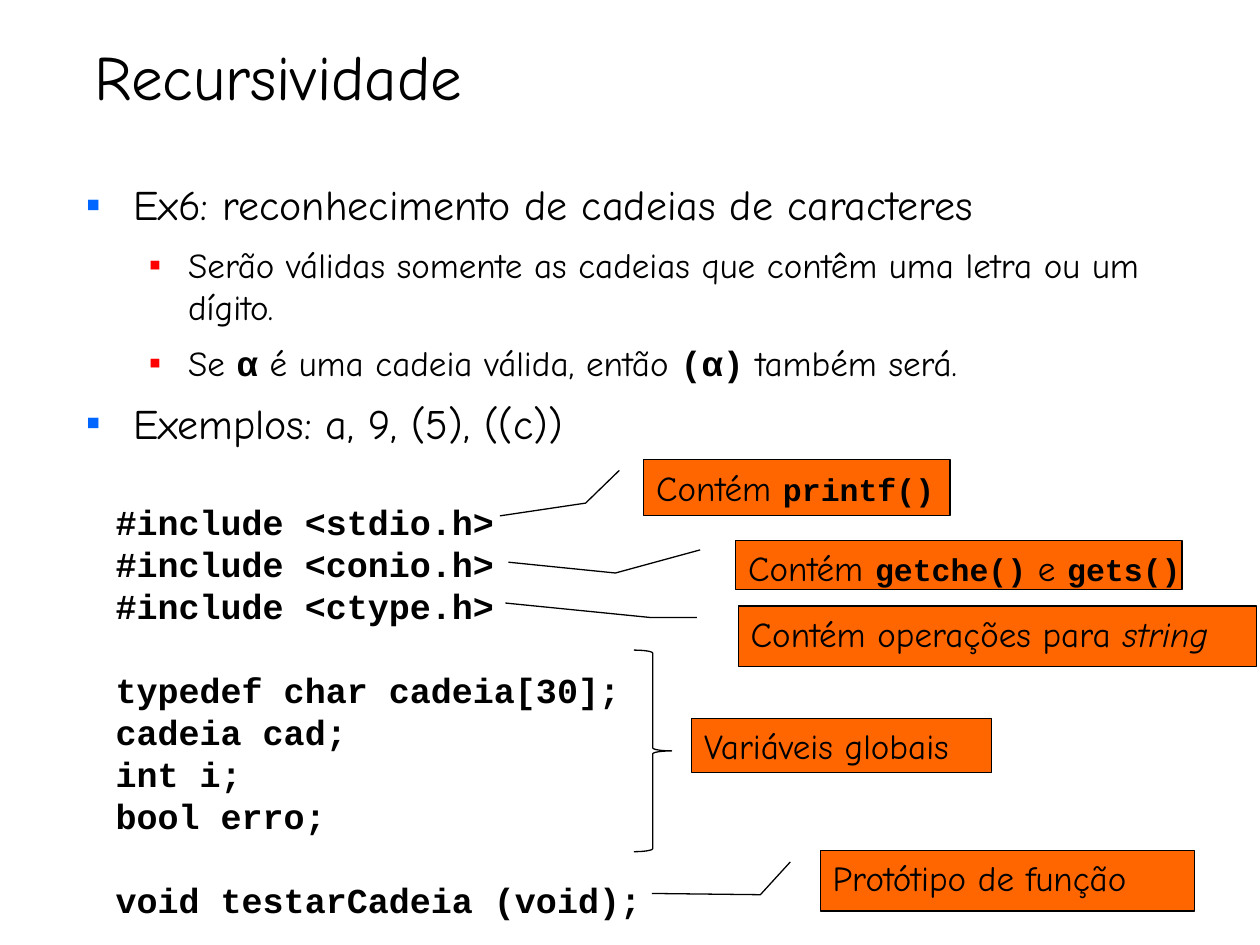
from dataclasses import dataclass

from lxml.etree import SubElement
from pptx import Presentation
from pptx.dml.color import RGBColor
from pptx.enum.shapes import MSO_SHAPE
from pptx.enum.text import MSO_ANCHOR, MSO_AUTO_SIZE, PP_ALIGN
from pptx.oxml.ns import qn
from pptx.util import Pt


@dataclass(frozen=True)
class Theme:
    ink: str = "000000"
    label: str = "FF6600"
    bullets: tuple = ("0066FF", "FF0000")
    text_font: str = "Comic Neue"
    code_font: str = "Courier New"
    title: int = 36
    levels: tuple = (24, 20)
    code: int = 20
    label_text: int = 20
    label_code: int = 18
    leading: float = 1.2


THEME = Theme()
LEVEL_INDENTS = ((27, -27), (58.5, -22.5))

BODY = [
    (0, [("Ex6: reconhecimento de cadeias de caracteres", "text")]),
    (1, [("Serão válidas somente as cadeias que contêm uma letra ou um dígito.", "text")]),
    (1, [("Se ", "text"), ("α", "code"), (" é uma cadeia válida, então ", "text"),
         ("(α)", "code"), (" também será.", "text")]),
    (0, [("Exemplos: a, 9, (5), ((c))", "text")]),
]

CODE_BLOCKS = [
    ["#include <stdio.h>", "#include <conio.h>", "#include <ctype.h>"],
    ["typedef char cadeia[30];", "cadeia cad;", "int i;", "bool erro;"],
    ["void testarCadeia (void);"],
]

CALLOUTS = [
    ((468.7, 486, 213.8, 34.6), (0.73, -0.16, 0.71, -0.45),
     [("Protótipo de função", "text")]),
    ((367.9, 262.8, 175, 31.7), (0.78, -0.19, 1.01, -0.47),
     [("Contém ", "text"), ("printf()", "code")]),
    ((420.5, 308.9, 254.9, 28.1), (0.66, -0.27, 0.44, -0.51),
     [("Contém ", "text"), ("getche()", "code"), (" e ", "text"), ("gets()", "code")]),
    ((421.9, 346.3, 295.9, 34.6), (0.19, -0.17, -0.05, -0.45),
     [("Contém operações para ", "text"), ("string", "italic")]),
]


def rgb(value):
    return RGBColor.from_string(value)


def place(sp, box):
    sp.left, sp.top, sp.width, sp.height = map(Pt, box)


def add_runs(p, runs, size, code_size):
    for text, style in runs:
        r = p.add_run()
        r.text = text
        is_code = style == "code"
        r.font.name = THEME.code_font if is_code else THEME.text_font
        r.font.size = Pt(code_size if is_code else size)
        r.font.bold = is_code
        r.font.italic = style == "italic"
        r.font.color.rgb = rgb(THEME.ink)


def add_bullet(p, level):
    pPr = p._p.get_or_add_pPr()
    left, first = LEVEL_INDENTS[level]
    pPr.set("marL", str(Pt(left)))
    pPr.set("indent", str(Pt(first)))
    color = SubElement(pPr, qn("a:buClr"))
    SubElement(color, qn("a:srgbClr")).set("val", THEME.bullets[level])
    SubElement(pPr, qn("a:buChar")).set("char", "▪")


def fill_title(sp, text):
    place(sp, (46.8, 18, 598.3, 50.4))
    tf = sp.text_frame
    tf.auto_size = MSO_AUTO_SIZE.NONE
    tf.vertical_anchor = MSO_ANCHOR.BOTTOM
    p = tf.paragraphs[0]
    p.alignment = PP_ALIGN.LEFT
    add_runs(p, [(text, "text")], THEME.title, THEME.title)


def fill_body(sp):
    place(sp, (41.8, 98.6, 661, 171.4))
    tf = sp.text_frame
    tf.auto_size = MSO_AUTO_SIZE.NONE
    for i, (level, runs) in enumerate(BODY):
        p = tf.add_paragraph() if i else tf.paragraphs[0]
        p.level = level
        size = THEME.levels[level]
        add_bullet(p, level)
        p.line_spacing = Pt(size * THEME.leading)
        p.space_before = Pt(0)
        p.space_after = Pt(8)
        add_runs(p, runs, size, size)


def add_code(s):
    tf = s.shapes.add_textbox(*map(Pt, (59, 282.2, 378.7, 247.7))).text_frame
    tf.word_wrap = True
    tf.text = "\n".join(line for block in CODE_BLOCKS for line in block)
    leading = Pt(THEME.code * THEME.leading)
    for p in tf.paragraphs:
        p.line_spacing = leading
        font = p.runs[0].font
        font.name, font.size, font.bold = THEME.code_font, Pt(THEME.code), True
        font.color.rgb = rgb(THEME.ink)
    start = 0
    for block in CODE_BLOCKS[:-1]:
        start += len(block)
        tf.paragraphs[start].space_before = leading


def add_shape(s, kind, box):
    sp = s.shapes.add_shape(kind, *map(Pt, box))
    sp.shadow.inherit = False
    sp.line.color.rgb = rgb(THEME.ink)
    sp.line.width = Pt(0.75)
    return sp


def add_label(s, kind, box, runs):
    sp = add_shape(s, kind, box)
    sp.fill.solid()
    sp.fill.fore_color.rgb = rgb(THEME.label)
    tf = sp.text_frame
    tf.word_wrap = False
    tf.vertical_anchor = MSO_ANCHOR.TOP
    p = tf.paragraphs[0]
    p.alignment = PP_ALIGN.LEFT
    add_runs(p, runs, THEME.label_text, THEME.label_code)
    return sp


def add_callout(s, box, leader, runs):
    sp = add_label(s, MSO_SHAPE.LINE_CALLOUT_2, box, runs)
    for i, value in enumerate((0.19, -0.08, *leader)):
        sp.adjustments[i] = value


def add_brace(s, box):
    sp = add_shape(s, MSO_SHAPE.RIGHT_BRACE, box)
    sp.fill.background()
    sp.adjustments[0] = 0.08


def main():
    prs = Presentation()
    prs.slide_width, prs.slide_height = Pt(720), Pt(540)
    s = prs.slides.add_slide(prs.slide_layouts[1])
    fill_title(s.shapes.title, "Recursividade")
    fill_body(s.placeholders[1])
    add_code(s)
    add_brace(s, (362.2, 371.5, 21.6, 115.2))
    add_label(s, MSO_SHAPE.RECTANGLE, (395.3, 410.4, 171.4, 31),
              [("Variáveis globais", "text")])
    for box, leader, runs in CALLOUTS:
        add_callout(s, box, leader, runs)
    prs.save("out.pptx")


if __name__ == "__main__":
    main()
